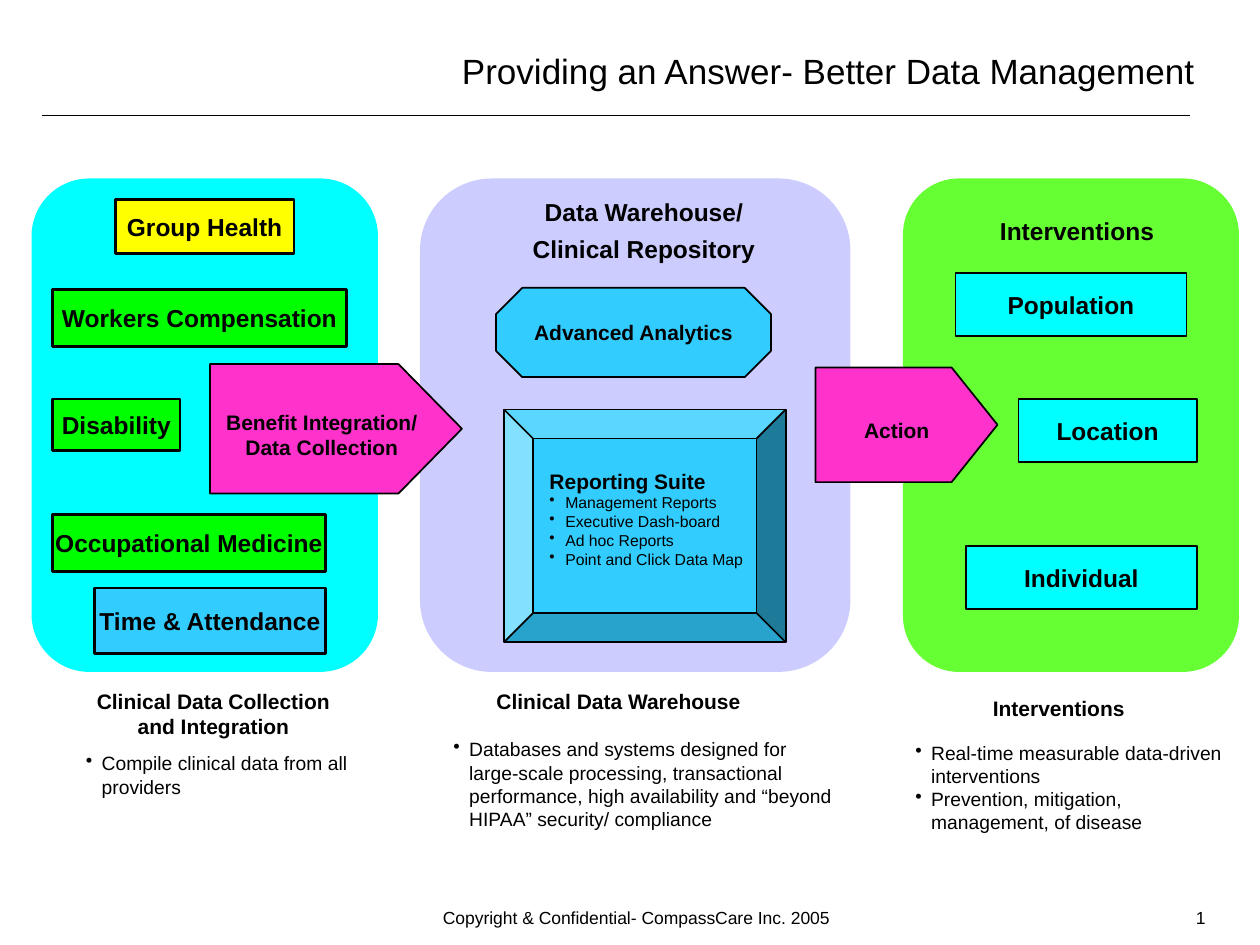
"""Build the slide on better data management: three panels, two arrows and their captions."""
from lxml import etree
from pptx import Presentation
from pptx.dml.color import RGBColor
from pptx.enum.shapes import MSO_CONNECTOR, MSO_SHAPE
from pptx.enum.text import MSO_ANCHOR, MSO_AUTO_SIZE, PP_ALIGN
from pptx.oxml.ns import qn
from pptx.util import Pt

LEFT, CENTER, RIGHT = PP_ALIGN.LEFT, PP_ALIGN.CENTER, PP_ALIGN.RIGHT
TOP, MIDDLE = MSO_ANCHOR.TOP, MSO_ANCHOR.MIDDLE
RECT, PANEL = MSO_SHAPE.RECTANGLE, MSO_SHAPE.ROUNDED_RECTANGLE
ARROW, BEVEL, OCTAGON = MSO_SHAPE.PENTAGON, MSO_SHAPE.BEVEL, MSO_SHAPE.OCTAGON
NO_AUTOFIT, STRAIGHT = MSO_AUTO_SIZE.NONE, MSO_CONNECTOR.STRAIGHT

BLACK = RGBColor(0x00, 0x00, 0x00)
CYAN = RGBColor(0x00, 0xFF, 0xFF)
LAVENDER = RGBColor(0xCC, 0xCC, 0xFF)
LIME = RGBColor(0x66, 0xFF, 0x33)
GREEN = RGBColor(0x00, 0xFF, 0x00)
YELLOW = RGBColor(0xFF, 0xFF, 0x00)
SKY = RGBColor(0x33, 0xCC, 0xFF)
MAGENTA = RGBColor(0xFF, 0x33, 0xCC)

NORMAL_INSETS = (7.2, 3.6, 7.2, 3.6)
TIGHT_INSETS = (2, 1.5, 2, 1.5)
ARROW_INSETS = (4, 8, 2, 1.5)


def write(frame, lines, size=14, bold=False, align=CENTER, anchor=TOP, wrap=False,
          insets=NORMAL_INSETS, bullets_from=None, spacing=None, before=None):
    """Fill a text frame with one paragraph per line; lines from bullets_from on get bullets."""
    frame.auto_size = NO_AUTOFIT
    frame.word_wrap = wrap
    frame.vertical_anchor = anchor
    (frame.margin_left, frame.margin_top,
     frame.margin_right, frame.margin_bottom) = map(Pt, insets)
    for number, line in enumerate(lines):
        paragraph = frame.paragraphs[0] if number == 0 else frame.add_paragraph()
        paragraph.text = line
        paragraph.alignment = align
        if spacing:
            paragraph.line_spacing = spacing
        if before and number:
            paragraph.space_before = Pt(before)
        if bullets_from is not None and number >= bullets_from:
            properties = paragraph._p.get_or_add_pPr()
            properties.set("marL", str(Pt(9)))
            properties.set("indent", str(-Pt(9)))
            etree.SubElement(properties, qn("a:buChar")).set("char", "•")
        for run in paragraph.runs:
            run.font.name = "Arial"
            run.font.size = Pt(size)
            run.font.bold = bold
            run.font.color.rgb = BLACK


class Sketch:
    """Hold the current slide and draw each kind of element on it."""

    def __init__(self, slide):
        self.slide = slide

    def title(self, text, *box):
        heading = self.slide.shapes.title
        heading.left, heading.top, heading.width, heading.height = map(Pt, box)
        write(heading.text_frame, [text], size=20, align=RIGHT, anchor=MIDDLE, wrap=True)

    def rule(self, left, y, right):
        line = self.slide.shapes.add_connector(STRAIGHT, Pt(left), Pt(y), Pt(right), Pt(y))
        line.line.color.rgb = BLACK
        line.line.width = Pt(0.75)
        etree.SubElement(line._element.spPr, qn("a:effectLst"))

    def shape(self, kind, box, fill, lines=(), outline=1, adjust=None, **text_format):
        shape = self.slide.shapes.add_shape(kind, *map(Pt, box))
        shape.shadow.inherit = False
        shape.fill.solid()
        shape.fill.fore_color.rgb = fill
        if outline:
            shape.line.color.rgb = BLACK
            shape.line.width = Pt(outline)
        else:
            shape.line.fill.background()
        if adjust is not None:
            shape.adjustments[0] = adjust
        if lines:
            write(shape.text_frame, lines, **{"bold": True, "anchor": MIDDLE,
                                              "insets": TIGHT_INSETS, **text_format})

    def text(self, box, lines, **text_format):
        label = self.slide.shapes.add_textbox(*map(Pt, box))
        write(label.text_frame, lines, **text_format)


def main():
    deck = Presentation()
    deck.slide_width, deck.slide_height = Pt(720), Pt(540)
    sketch = Sketch(deck.slides.add_slide(deck.slide_layouts[5]))

    sketch.title("Providing an Answer- Better Data Management", 204, 24, 486, 32)
    sketch.rule(24, 66, 680)

    for left, width, color in ((516, 192, LIME), (240, 246, LAVENDER), (18, 198, CYAN)):
        sketch.shape(PANEL, (left, 102, width, 282), color, outline=0, adjust=0.167)

    sources = (
        ("Group Health", (66, 114, 102, 31), YELLOW),
        ("Workers Compensation", (30, 165.5, 168, 32.5), GREEN),
        ("Disability", (30, 228, 73, 29.5), GREEN),
        ("Occupational Medicine", (30, 294, 156, 32.5), GREEN),
        ("Time & Attendance", (54, 336, 132, 37.5), SKY),
    )
    for source, box, color in sources:
        sketch.shape(RECT, box, color, [source], outline=1.5)

    sketch.text((250.5, 108, 235, 50.5), ["Data Warehouse/", "Clinical Repository"],
                bold=True, anchor=MIDDLE, insets=TIGHT_INSETS, spacing=0.75, before=8.8)
    sketch.shape(OCTAGON, (283.5, 164.5, 157, 51), SKY, ["Advanced Analytics"],
                 size=12, adjust=0.293)
    sketch.shape(BEVEL, (288, 234, 161, 133), SKY, adjust=0.125)
    reports = ["Management Reports", "Executive Dash-board", "Ad hoc Reports",
               "Point and Click Data Map"]
    reporting_box = (312, 266, 125, 62)
    sketch.text(reporting_box, ["Reporting Suite"], size=12, bold=True, align=LEFT,
                insets=TIGHT_INSETS, wrap=True)
    sketch.text((312, 280, 125, 48), reports, size=9, align=LEFT, insets=TIGHT_INSETS,
                wrap=True, bullets_from=0)

    sketch.text((564, 120, 103, 24), ["Interventions"], bold=True)
    for level, left, top, width in (("Population", 546, 156, 132),
                                    ("Location", 582, 228, 102),
                                    ("Individual", 552, 312, 132)):
        sketch.shape(RECT, (left, top, width, 36), CYAN, [level])

    sketch.shape(ARROW, (120, 208, 144, 74), MAGENTA,
                 ["Benefit Integration/", "Data Collection"],
                 size=12, adjust=0.49, insets=ARROW_INSETS)
    sketch.shape(ARROW, (466, 210, 104, 65.5), MAGENTA, ["Action"],
                 size=12, adjust=0.4, insets=ARROW_INSETS)

    captions = (
        ("Clinical Data Collection\vand Integration", (48, 390, 148, 36)),
        ("Clinical Data Warehouse", (276, 390, 155, 22)),
        ("Interventions", (560, 394, 90, 22)),
    )
    for caption, box in captions:
        sketch.text(box, [caption], size=12, bold=True)

    details = (
        ((42, 426, 176, 34), ["Compile clinical data from all providers"]),
        ((252, 418, 234, 73), ["Databases and systems designed for large-scale processing, "
                               "transactional performance, high availability and “beyond "
                               "HIPAA” security/ compliance"]),
        ((516, 420, 191.5, 60), ["Real-time measurable data-driven interventions",
                                 "Prevention, mitigation, management, of disease"]),
    )
    for box, points in details:
        sketch.text(box, points, size=11, align=LEFT, wrap=True, bullets_from=0)

    sketch.text((246, 516, 252, 24), ["Copyright & Confidential- CompassCare Inc. 2005"],
                size=10, align=LEFT, wrap=True, spacing=0.9)
    sketch.text((546, 516, 150, 12), ["1"], size=10, align=RIGHT, wrap=True, spacing=0.9)

    deck.save("out.pptx")


if __name__ == "__main__":
    main()
